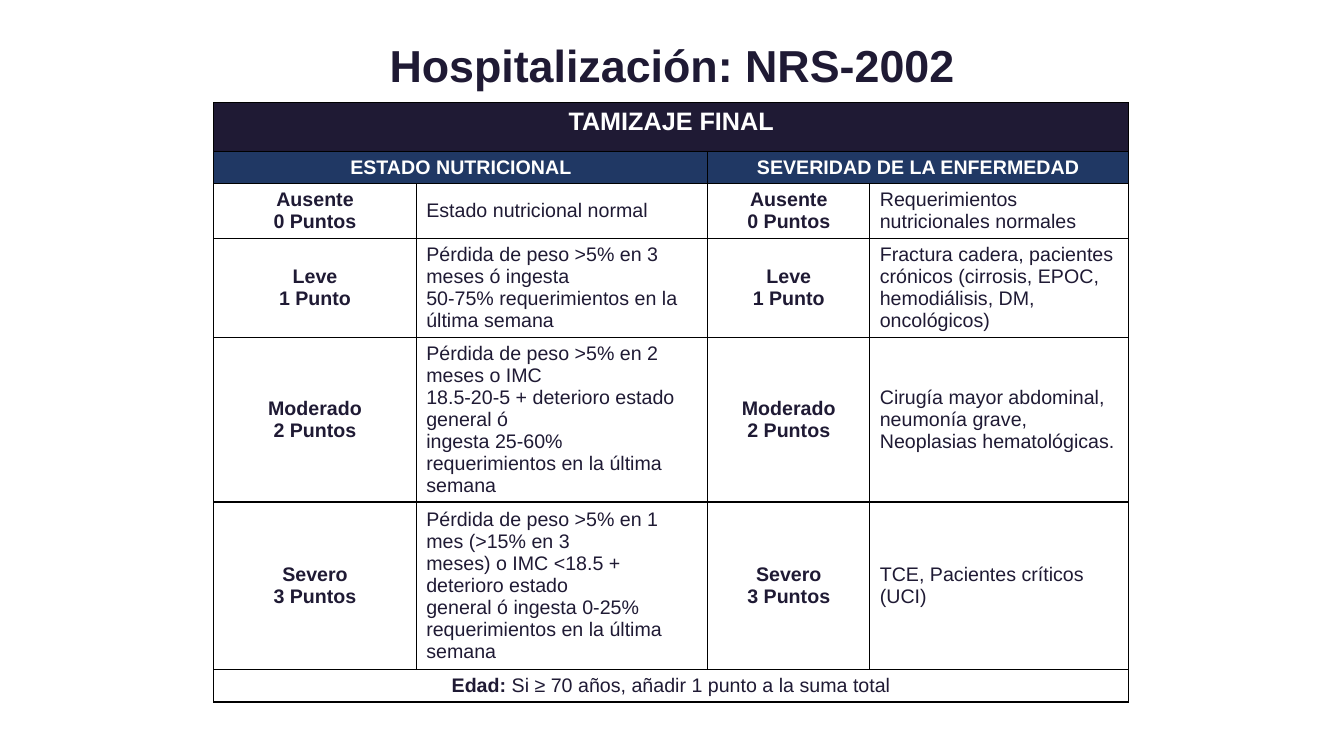
from lxml import etree
from pptx import Presentation
from pptx.dml.color import RGBColor
from pptx.enum.text import MSO_ANCHOR, MSO_AUTO_SIZE, PP_ALIGN
from pptx.oxml import parse_xml
from pptx.util import Cm, Pt

CENTER, LEFT, JUSTIFY = PP_ALIGN.CENTER, PP_ALIGN.LEFT, PP_ALIGN.JUSTIFY
TOP, MIDDLE = MSO_ANCHOR.TOP, MSO_ANCHOR.MIDDLE
NO_AUTO_SIZE = MSO_AUTO_SIZE.NONE
TITLE_ONLY = 5
FONT = "Arial"
INK, NAVY, WHITE, BLACK = "1F1A34", "203864", "FFFFFF", "000000"
DRAWING = "http://schemas.openxmlformats.org/drawingml/2006/main"

COLUMN_WIDTHS = [5.1, 7.35, 4.08, 6.52]
ROW_HEIGHTS = [1.23, 0.81, 1.38, 2.5, 4.14, 4.22, 0.82]
LEVELS = [
    (["Ausente", "0 Puntos"],
     ["Estado nutricional normal"],
     ["Requerimientos nutricionales normales"]),
    (["Leve", "1 Punto"],
     ["Pérdida de peso >5% en 3 meses ó ingesta",
      "50-75% requerimientos en la última semana"],
     ["Fractura cadera, pacientes", "crónicos (cirrosis, EPOC,",
      "hemodiálisis, DM, oncológicos)"]),
    (["Moderado", "2 Puntos"],
     ["Pérdida de peso >5% en 2 meses o IMC",
      "18.5-20-5 + deterioro estado general ó",
      "ingesta 25-60% requerimientos en la última semana"],
     ["Cirugía mayor abdominal,", "neumonía grave,",
      "Neoplasias hematológicas."]),
    (["Severo", "3 Puntos"],
     ["Pérdida de peso >5% en 1 mes (>15% en 3",
      "meses) o IMC <18.5 + deterioro estado",
      "general ó ingesta 0-25% requerimientos en la última semana"],
     ["TCE, Pacientes críticos", "(UCI)"]),
]


def color(value):
    """Return the colour for a hex string."""
    return RGBColor.from_string(value)


def add_run(paragraph, text, size=14, bold=False, ink=INK):
    """Append a formatted run to a paragraph."""
    run = paragraph.add_run()
    run.text = text
    run.font.name = FONT
    run.font.size = Pt(size)
    run.font.bold = bold
    run.font.color.rgb = color(ink)


def write(text_frame, lines, align=LEFT, **format):
    """Write one paragraph per line with a shared format."""
    for index, line in enumerate(lines):
        paragraph = text_frame.add_paragraph() if index else text_frame.paragraphs[0]
        paragraph.alignment = align
        add_run(paragraph, line, **format)


def style_cell(cell, fill=WHITE, anchor=TOP):
    """Set the fill, anchor and thin black borders of a cell."""
    cell.vertical_anchor = anchor
    cell.fill.solid()
    cell.fill.fore_color.rgb = color(fill)
    properties = cell._tc.get_or_add_tcPr()
    for position, side in enumerate(("lnL", "lnR", "lnT", "lnB")):
        line = parse_xml(f'<a:{side} xmlns:a="{DRAWING}" w="{Pt(1)}"/>')
        solid = etree.SubElement(line, f"{{{DRAWING}}}solidFill")
        etree.SubElement(solid, f"{{{DRAWING}}}srgbClr", val=BLACK)
        properties.insert(position, line)


def band(table, row, first, last, fill=WHITE):
    """Merge cells of a row into a styled band and return its first cell."""
    for column in range(first, last + 1):
        style_cell(table.cell(row, column), fill)
    table.cell(row, first).merge(table.cell(row, last))
    return table.cell(row, first)


def add_title(slide, left, top, width, height):
    """Place the slide title."""
    title = slide.shapes.title
    title.left, title.top, title.width, title.height = left, top, width, height
    frame = title.text_frame
    frame.auto_size = NO_AUTO_SIZE
    frame.vertical_anchor = MIDDLE
    write(frame, ["Hospitalización: NRS-2002"], CENTER, size=32, bold=True)
    frame.paragraphs[0].line_spacing = 0.9


def add_screening_table(slide, left, top):
    """Build the final screening table from its top left corner."""
    shape = slide.shapes.add_table(
        len(ROW_HEIGHTS), len(COLUMN_WIDTHS), left, top,
        Cm(sum(COLUMN_WIDTHS)), Cm(sum(ROW_HEIGHTS)))
    table = shape.table
    for column, width in zip(table.columns, COLUMN_WIDTHS):
        column.width = Cm(width)
    for row, height in zip(table.rows, ROW_HEIGHTS):
        row.height = Cm(height)

    heading = band(table, 0, 0, 3, INK)
    write(heading.text_frame, ["TAMIZAJE FINAL"], CENTER,
          size=18, bold=True, ink=WHITE)
    for first, text in ((0, "ESTADO NUTRICIONAL"), (2, "SEVERIDAD DE LA ENFERMEDAD")):
        subheading = band(table, 1, first, first + 1, NAVY)
        write(subheading.text_frame, [text], CENTER, bold=True, ink=WHITE)

    for row, (level, status, severity) in enumerate(LEVELS, start=2):
        for column, lines in enumerate((level, status, level, severity)):
            cell = table.cell(row, column)
            style_cell(cell, anchor=MIDDLE)
            is_level = column % 2 == 0
            detail_align = JUSTIFY if row == 2 else LEFT
            write(cell.text_frame, lines, CENTER if is_level else detail_align,
                  bold=is_level)

    paragraph = band(table, len(ROW_HEIGHTS) - 1, 0, 3).text_frame.paragraphs[0]
    paragraph.alignment = CENTER
    add_run(paragraph, "Edad: ", bold=True)
    add_run(paragraph, "Si ≥ 70 años, añadir 1 punto a la suma total")


def main():
    """Build and save the presentation."""
    presentation = Presentation()
    presentation.slide_width, presentation.slide_height = Cm(33.87), Cm(19.05)
    slide = presentation.slides.add_slide(presentation.slide_layouts[TITLE_ONLY])
    add_title(slide, Cm(9.02), Cm(0.13), Cm(15.85), Cm(3.18))
    add_screening_table(slide, Cm(5.39), Cm(2.59))
    presentation.save("out.pptx")


if __name__ == "__main__":
    main()
